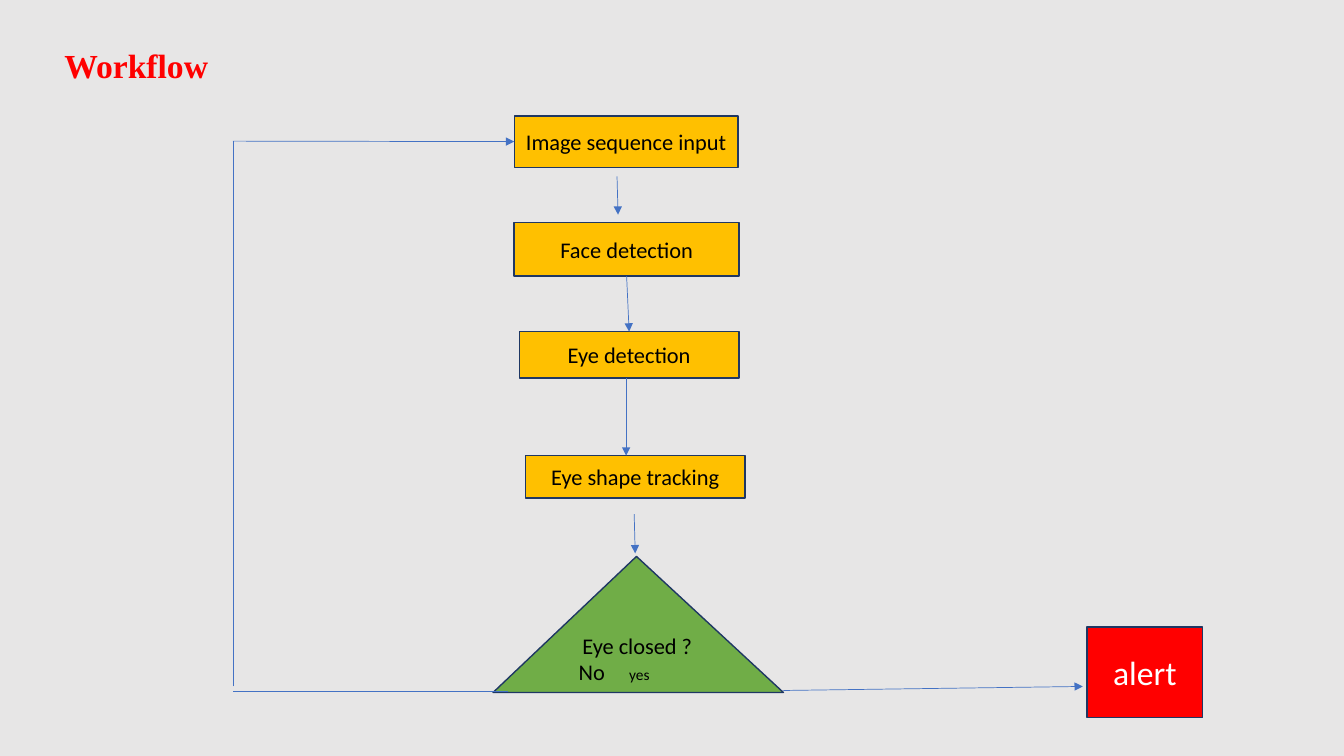
import pptx
import pptx.util
import pptx.dml.color
import pptx.enum.shapes
import pptx.enum.text
import pptx.oxml
import pptx.oxml.ns
import lxml.etree

SCALE = 9144  # EMU per px, 100 px to the inch
COLORS = {"background": "E7E6E6", "step": "FFC000", "decision": "70AD47", "alert": "FF0000",
          "border": "1F3763", "arrow": "4472C4", "dark": "000000", "light": "FFFFFF"}
SHAPE = pptx.enum.shapes.MSO_SHAPE
ALIGN = pptx.enum.text.PP_ALIGN


def rgb(name):
    return pptx.dml.color.RGBColor.from_string(COLORS[name])


def add_run(p, text, size, color, font="Calibri", bold=False):
    r = p.add_run()
    r.text = text
    formats = {"size": pptx.util.Pt(size), "name": font, "bold": bold}
    for key, value in formats.items():
        setattr(r.font, key, value)
    r.font.color.rgb = rgb(color)


prs = pptx.Presentation()
prs.slide_width, prs.slide_height = 1333 * SCALE, 750 * SCALE
s = prs.slides.add_slide(prs.slide_layouts[6])
s.background.fill.solid()
s.background.fill.fore_color.rgb = rgb("background")

# Title
title = s.shapes.add_textbox(*(v * SCALE for v in (54, 40, 164, 50)))
title.text_frame.word_wrap = False
add_run(title.text_frame.paragraphs[0], "Workflow", 24, "alert", "Times New Roman", True)

# Steps, decision and alert
nodes = [
    ("input", "Image sequence input", SHAPE.RECTANGLE, "step", 16, "dark", (510, 115, 222, 51)),
    ("face", "Face detection", SHAPE.RECTANGLE, "step", 16, "dark", (510, 221, 223, 53)),
    ("eye", "Eye detection", SHAPE.RECTANGLE, "step", 16, "dark", (515, 329, 218, 46)),
    ("tracking", "Eye shape tracking", SHAPE.RECTANGLE, "step", 16, "dark", (521, 452, 218, 42)),
    ("closed", "Eye closed ?", SHAPE.ISOSCELES_TRIANGLE, "decision", 16, "dark", (489, 552, 288, 135)),
    ("alert", "alert", SHAPE.RECTANGLE, "alert", 24, "light", (1078, 622, 115, 90)),
]
shapes = {}
for name, text, kind, fill, size, color, box in nodes:
    sp = s.shapes.add_shape(kind, *(v * SCALE for v in box))
    sp.shadow.inherit = False
    sp.fill.solid()
    sp.fill.fore_color.rgb = rgb(fill)
    sp.line.color.rgb = rgb("border")
    sp.line.width = pptx.util.Pt(1)
    tf = sp.text_frame
    tf.vertical_anchor = pptx.enum.text.MSO_ANCHOR.MIDDLE
    tf.paragraphs[0].alignment = ALIGN.CENTER
    add_run(tf.paragraphs[0], text, size, color)
    shapes[name] = sp

# Two answers of the decision, set apart by a tab stop
shapes["closed"].adjustments[0] = 0.494
p = shapes["closed"].text_frame.add_paragraph()
p.alignment = ALIGN.LEFT
add_run(p, "No\t", 16, "dark")
add_run(p, "yes", 11, "dark")
pPr = p._p.get_or_add_pPr()
pPr.set("marL", str(4 * SCALE))
pPr.set("indent", "0")
tabs = lxml.etree.SubElement(pPr, pptx.oxml.ns.qn("a:tabLst"))
lxml.etree.SubElement(tabs, pptx.oxml.ns.qn("a:tab"), pos=str(100 * SCALE), algn="l")

# Connectors: ends, arrowhead, joined shape and side at begin and end
links = [
    ((504, 686, 231, 686), False, None, None),
    ((231, 681, 231, 140), False, None, None),
    ((231, 140, 510, 140), True, None, ("input", 1)),
    ((777, 685, 1074, 681), True, None, None),
    ((629, 510, 630, 549), True, None, None),
    ((621, 375, 621, 452), True, None, None),
    ((612, 175, 613, 213), True, None, None),
    ((622, 274, 624, 329), True, ("face", 2), ("eye", 0)),
]
for ends, arrow, begin, end in links:
    c = s.shapes.add_connector(pptx.enum.shapes.MSO_CONNECTOR.STRAIGHT, *(v * SCALE for v in ends))
    if begin:
        c.begin_connect(shapes[begin[0]], begin[1])
    if end:
        c.end_connect(shapes[end[0]], end[1])
    c.line.color.rgb = rgb("arrow")
    c.line.width = pptx.util.Pt(0.5)
    if arrow:
        lxml.etree.SubElement(c.line._get_or_add_ln(), pptx.oxml.ns.qn("a:tailEnd"), type="triangle")
    lxml.etree.SubElement(c._element.spPr, pptx.oxml.ns.qn("a:effectLst"))

prs.save("out.pptx")
